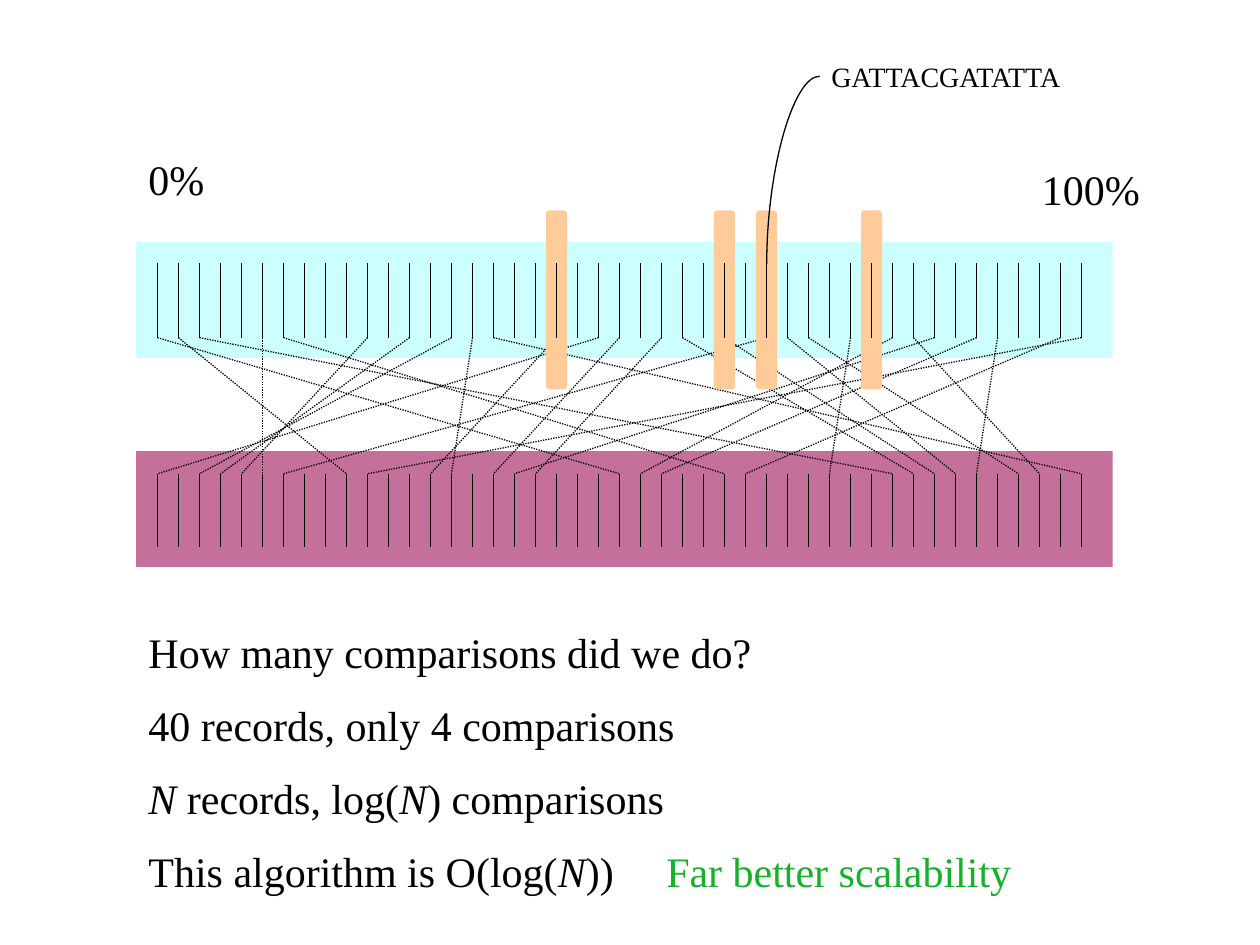
from lxml import etree
from pptx import Presentation
from pptx.dml.color import RGBColor
from pptx.enum.dml import MSO_LINE
from pptx.enum.shapes import MSO_CONNECTOR, MSO_SHAPE
from pptx.oxml.ns import qn
from pptx.util import Inches, Pt

BLACK = RGBColor(0x00, 0x00, 0x00)
GREEN = RGBColor(0x14, 0xB1, 0x2B)
CYAN = RGBColor(0xCC, 0xFF, 0xFF)
PLUM = RGBColor(0xC4, 0x70, 0x9A)
PEACH = RGBColor(0xFF, 0xCC, 0x99)

TICKS = 45
STEP = 1 / 6
TICK_X = [1.25 + i * STEP for i in range(TICKS)]
INDEX_TOP, INDEX_END = 2.09, 2.68
DATA_TOP, DATA_END = 3.76, 4.34

# Tick in the sorted index -> tick in the stored records
LINKS = {
    0: 22, 1: 9, 2: 35, 5: 5, 6: 27, 10: 4, 12: 3, 14: 2, 15: 14,
    16: 44, 19: 13, 21: 0, 22: 16, 24: 18, 25: 36, 27: 37, 29: 6,
    30: 38, 31: 41, 33: 32, 35: 23, 36: 42, 37: 17, 39: 24, 40: 39,
    43: 28, 44: 10,
}
PROBES = [19, 27, 29, 34]

prs = Presentation()
prs.slide_width, prs.slide_height = Inches(10), Inches(7.5)
slide = prs.slides.add_slide(prs.slide_layouts[6])
shapes = slide.shapes


def add_block(kind, x, y, w, h, color):
    block = shapes.add_shape(kind, Inches(x), Inches(y), Inches(w), Inches(h))
    block.shadow.inherit = False
    block.fill.solid()
    block.fill.fore_color.rgb = color
    block.line.fill.background()


def add_line(x1, y1, x2, y2, kind=MSO_CONNECTOR.STRAIGHT):
    line = shapes.add_connector(kind, Inches(x1), Inches(y1), Inches(x2), Inches(y2))
    line.line.color.rgb = BLACK
    line.line.width = Pt(0.75)
    etree.SubElement(line._element.spPr, qn("a:effectLst"))
    return line


# Index and record bands, the links between them, then the probes
for top, color in [(1.92, CYAN), (3.58, PLUM)]:
    add_block(MSO_SHAPE.RECTANGLE, 1.08, top, 7.75, 0.92, color)
for start, end in LINKS.items():
    link = add_line(TICK_X[start], INDEX_END, TICK_X[end], DATA_TOP)
    link.line.dash_style = MSO_LINE.ROUND_DOT
for probe in PROBES:
    add_block(MSO_SHAPE.ROUNDED_RECTANGLE, TICK_X[probe] - STEP / 2, 1.67,
              STEP, 1.42, PEACH)
for x in TICK_X:
    add_line(x, INDEX_TOP, x, INDEX_END)
    add_line(x, DATA_TOP, x, DATA_END)

# Quarter curve from the found tick up to its sequence, turned by 270 degrees
curve = add_line(5.55, 1.14, 7.04, 1.56, MSO_CONNECTOR.CURVE)
curve.rotation = 270
curve._element.spPr.find(qn("a:xfrm")).set("rot", str(270 * 60000))
curve._element.spPr.find(qn("a:prstGeom")).set("prst", "curvedConnector2")

# Each paragraph is a list of (text, format) runs
PLAIN, ITALIC = {}, {"italic": True}
TEXTS = [
    (6.5, 0.42, 2.14, 0.37, 16, [[("GATTACGATATTA", PLAIN)]]),
    (1.08, 1.17, 0.75, 0.5, 24, [[("0%", PLAIN)]]),
    (8.17, 1.25, 1, 0.5, 24, [[("100%", PLAIN)]]),
    (1.08, 4.92, 5.75, 0.5, 24, [[("How many comparisons did we do?", PLAIN)]]),
    (1.08, 5.5, 8.25, 1.7, 24, [
        [("40 records, only 4 comparisons", PLAIN)],
        [("N", ITALIC), (" records, log(", PLAIN), ("N", ITALIC),
         (") comparisons", PLAIN)],
        [("This algorithm is O(log(", PLAIN), ("N", ITALIC), ("))\t", PLAIN),
         ("Far better scalability", {"color": GREEN})],
    ]),
]
for x, y, w, h, size, paras in TEXTS:
    frame = shapes.add_textbox(Inches(x), Inches(y), Inches(w), Inches(h)).text_frame
    frame.word_wrap = size == 24
    for n, runs in enumerate(paras):
        para = frame.paragraphs[0] if n == 0 else frame.add_paragraph()
        if n:
            para.space_before = Pt(13)
        if any("\t" in text for text, _ in runs):
            tabs = etree.SubElement(para._p.get_or_add_pPr(), qn("a:tabLst"))
            etree.SubElement(tabs, qn("a:tab"), pos=str(Inches(4.11)), algn="l")
        for text, style in runs:
            run = para.add_run()
            run.text = text
            look = {"name": "Times New Roman", "size": Pt(size),
                    "italic": style.get("italic", False)}
            for key, value in look.items():
                setattr(run.font, key, value)
            run.font.color.rgb = style.get("color", BLACK)

prs.save("out.pptx")
